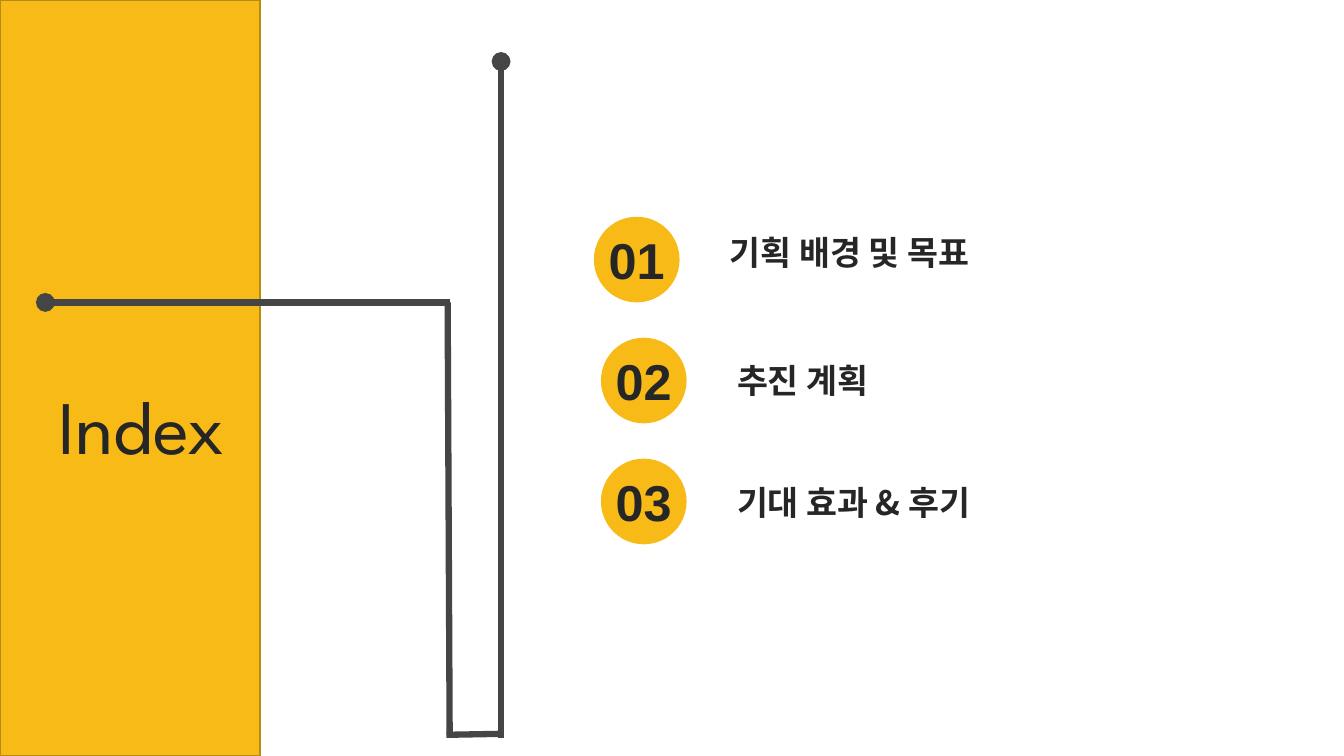
from lxml.etree import SubElement
from pptx import Presentation
from pptx.dml.color import RGBColor
from pptx.enum.shapes import MSO_CONNECTOR, MSO_SHAPE
from pptx.enum.text import MSO_ANCHOR, MSO_AUTO_SIZE, PP_ALIGN
from pptx.oxml.ns import qn
from pptx.util import Inches, Pt

COLORS = {"yellow": "F8BA16", "border": "B78A10", "track": "454545", "ink": "262626"}
CIRCLE = 0.85
TOPICS = [
    ("01", "기획 배경 및 목표", 5.89, 2.15, 0.1),
    ("02", "추진 계획", 5.96, 3.35, 0.17),
    ("03", "기대 효과 & 후기", 5.96, 4.55, 0.18),
]
TRACK = [
    ((0.45, 3), (4.46, 3), "headEnd"),
    ((4.46, 7.32), (4.44, 3), None),
    ((4.97, 7.32), (4.97, 0.61), "tailEnd"),
    ((4.43, 7.29), (4.98, 7.28), None),
]


def color(name):
    return RGBColor.from_string(COLORS[name])


def add_filled(shapes, preset, box, border=None):
    filled = shapes.add_shape(preset, *map(Inches, box))
    filled.shadow.inherit = False
    filled.fill.solid()
    filled.fill.fore_color.rgb = color("yellow")
    if border:
        filled.line.color.rgb = color(border)
        filled.line.width = Pt(1)
    else:
        filled.line.fill.background()


def add_label(shapes, box, words, face, size, bold=True, align=PP_ALIGN.LEFT,
              anchor=MSO_ANCHOR.TOP, inset=0.12):
    frame = shapes.add_textbox(*map(Inches, box)).text_frame
    frame.word_wrap = True
    frame.auto_size = MSO_AUTO_SIZE.SHAPE_TO_FIT_TEXT
    frame.vertical_anchor = anchor
    frame.margin_left = frame.margin_right = Inches(inset)
    frame.margin_top = frame.margin_bottom = Inches(0.05)
    paragraph = frame.paragraphs[0]
    paragraph.alignment = align
    run = paragraph.add_run()
    run.text = words
    run.font.name = face
    run.font.size = Pt(size)
    run.font.bold = bold
    run.font.color.rgb = color("ink")
    SubElement(run.font._element, qn("a:ea"), typeface=face)


def add_track(shapes, start, end, dot):
    track = shapes.add_connector(MSO_CONNECTOR.STRAIGHT, *map(Inches, start + end))
    track.line.color.rgb = color("track")
    track.line.width = Pt(4.5)
    if dot:
        SubElement(track.line._get_or_add_ln(), qn(f"a:{dot}"), type="oval")
    SubElement(track._element.spPr, qn("a:effectLst"))


def add_topic(slide, number, title, left, top, title_drop):
    shapes = slide.shapes.add_group_shape().shapes
    add_label(shapes, (left + 1.23, top + title_drop, 4.93, 0.5), title,
              "Noto Sans CJK KR", 24)
    add_filled(shapes, MSO_SHAPE.OVAL, (left, top, CIRCLE, CIRCLE))
    add_label(shapes, (left - 0.1, top + 0.07, CIRCLE + 0.2, 0.71), number,
              "Arial", 36, align=PP_ALIGN.CENTER)


def main():
    deck = Presentation()
    deck.slide_width, deck.slide_height = Inches(13.33), Inches(7.5)
    slide = deck.slides.add_slide(deck.slide_layouts[6])
    add_filled(slide.shapes, MSO_SHAPE.RECTANGLE, (0, 0, 2.58, 7.5), "border")
    add_label(slide.shapes, (0.48, 3.7, 3.52, 1.01), "Index", "League Spartan", 54,
              bold=False, anchor=MSO_ANCHOR.MIDDLE, inset=0.1)
    for start, end, dot in TRACK:
        add_track(slide.shapes, start, end, dot)
    for topic in TOPICS:
        add_topic(slide, *topic)
    deck.save("out.pptx")


if __name__ == "__main__":
    main()
